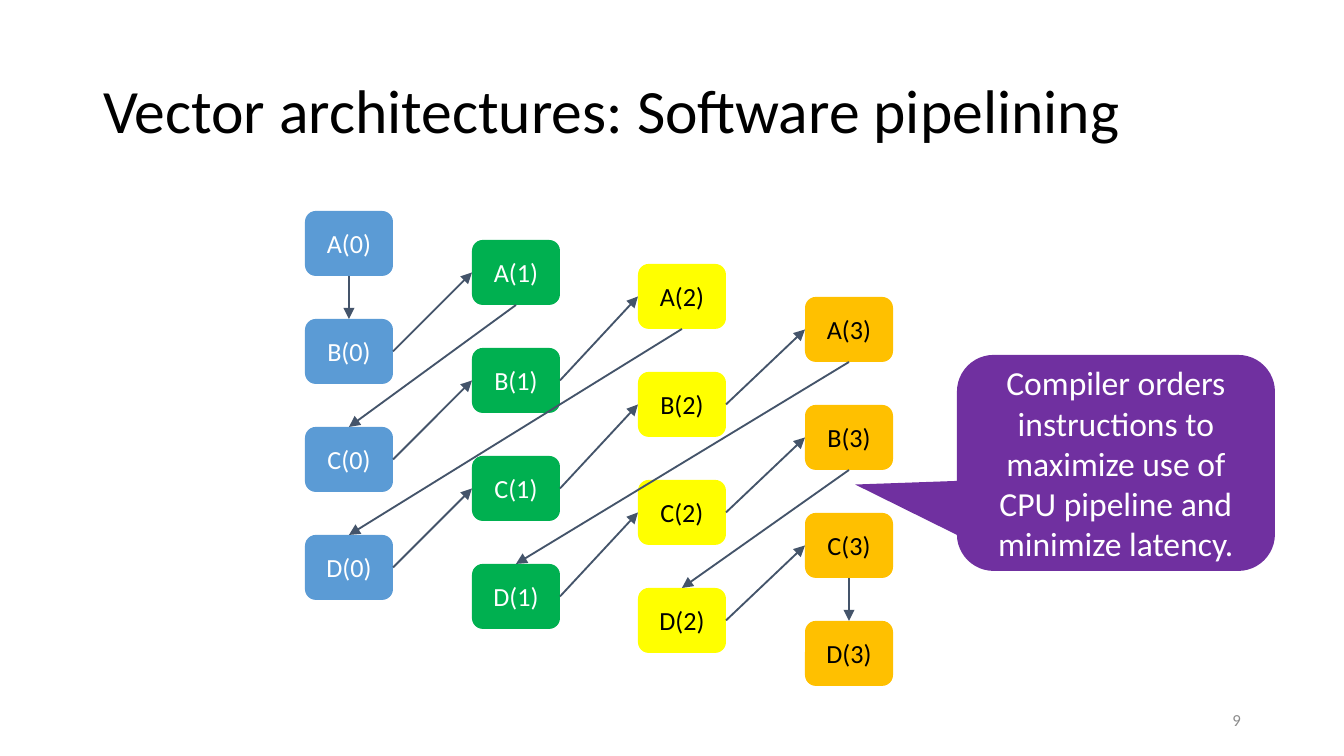
from itertools import pairwise, product

from lxml.etree import SubElement
from pptx import Presentation
from pptx.dml.color import RGBColor
from pptx.enum.shapes import MSO_CONNECTOR as CONN, MSO_SHAPE as SHAPE
from pptx.enum.text import MSO_ANCHOR as ANCHOR, MSO_AUTO_SIZE as AUTO, PP_ALIGN as ALIGN
from pptx.oxml.ns import qn
from pptx.util import Pt

PX = 914400 / 134.4  # EMU per px
FONT = "Calibri"
COLORS = {
    "blue": "5B9BD5", "green": "00B050", "yellow": "FFFF00", "orange": "FFC000",
    "purple": "7030A0", "slate": "44546A", "black": "000000", "white": "FFFFFF",
    "gray": "8C8C8C",
}

# One column per loop iteration: left, top, fill, text colour
ITERATIONS = [
    (305, 211, "blue", "white"),
    (472, 240, "green", "white"),
    (638, 264, "yellow", "black"),
    (805, 297, "orange", "black"),
]
STAGES = "ABCD"
BOX_W, BOX_H, ROW_STEP = 88, 65, 108
TOP, LEFT, BOTTOM, RIGHT = range(4)  # connection sites of a rectangle


def px(n):
    return round(n * PX)


def rgb(name):
    return RGBColor.from_string(COLORS[name])


def write(sp, text, size, color, align=ALIGN.CENTER):
    tf = sp.text_frame
    tf.word_wrap = True
    tf.auto_size = AUTO.NONE
    tf.vertical_anchor = ANCHOR.MIDDLE
    tf.margin_left = tf.margin_right = px(10)
    tf.margin_top = tf.margin_bottom = px(5)
    p = tf.paragraphs[0]
    p.alignment = align
    r = p.add_run()
    r.text = text
    r.font.name = FONT
    r.font.size = Pt(size)
    r.font.color.rgb = rgb(color)
    return p


def add_title(slide, text):
    sp = slide.shapes.title
    sp.left, sp.top, sp.width, sp.height = map(px, (93, 40, 1159, 147))
    write(sp, text, 33, "black", ALIGN.LEFT).line_spacing = 0.9


def add_page_number(slide, number):
    sp = slide.shapes.add_textbox(*map(px, (949, 700, 302, 40)))
    write(sp, number, 9, "gray", ALIGN.RIGHT)


def add_block(slide, kind, box, fill, text, size, color):
    sp = slide.shapes.add_shape(kind, *map(px, box))
    sp.shadow.inherit = False
    sp.fill.solid()
    sp.fill.fore_color.rgb = rgb(fill)
    sp.line.fill.background()
    write(sp, text, size, color)
    return sp


def add_arrow(slide, start, start_site, end, end_site):
    cxn = slide.shapes.add_connector(CONN.STRAIGHT, 0, 0, 0, 0)
    cxn.begin_connect(start, start_site)
    cxn.end_connect(end, end_site)
    cxn.line.color.rgb = rgb("slate")
    cxn.line.width = Pt(1)
    SubElement(cxn.line._get_or_add_ln(), qn("a:tailEnd"), type="triangle")
    SubElement(cxn._element.spPr, qn("a:effectLst"))


def add_pipeline(slide):
    # Instruction boxes, keyed by (iteration, stage)
    boxes = {}
    for col, (left, top, fill, color) in enumerate(ITERATIONS):
        for row, stage in enumerate(STAGES):
            box = (left, top + row * ROW_STEP, BOX_W, BOX_H)
            boxes[col, row] = add_block(slide, SHAPE.ROUNDED_RECTANGLE, box, fill,
                                        f"{stage}({col})", 14, color)

    # Execution order runs up each diagonal, from the oldest iteration to the newest
    order = sorted(product(range(len(ITERATIONS)), range(len(STAGES))),
                   key=lambda cell: (sum(cell), cell[0]))
    for a, b in pairwise(order):
        same_diagonal = sum(a) == sum(b)
        sites = (RIGHT, LEFT) if same_diagonal else (BOTTOM, TOP)
        add_arrow(slide, boxes[a], sites[0], boxes[b], sites[1])


def add_callout(slide, text):
    sp = add_block(slide, SHAPE.ROUNDED_RECTANGULAR_CALLOUT, (957, 355, 318, 216),
                   "purple", text, 18, "white")
    for i, value in enumerate((-0.82, 0.1, 0.17)):
        sp.adjustments[i] = value


def main():
    prs = Presentation()
    prs.slide_width, prs.slide_height = px(1344), px(756)
    slide = prs.slides.add_slide(prs.slide_layouts[5])  # title only
    add_title(slide, "Vector architectures: Software pipelining")
    add_page_number(slide, "9")
    add_pipeline(slide)
    add_callout(slide, "Compiler orders instructions to maximize use of "
                       "CPU pipeline and minimize latency.")
    prs.save("out.pptx")


if __name__ == "__main__":
    main()
